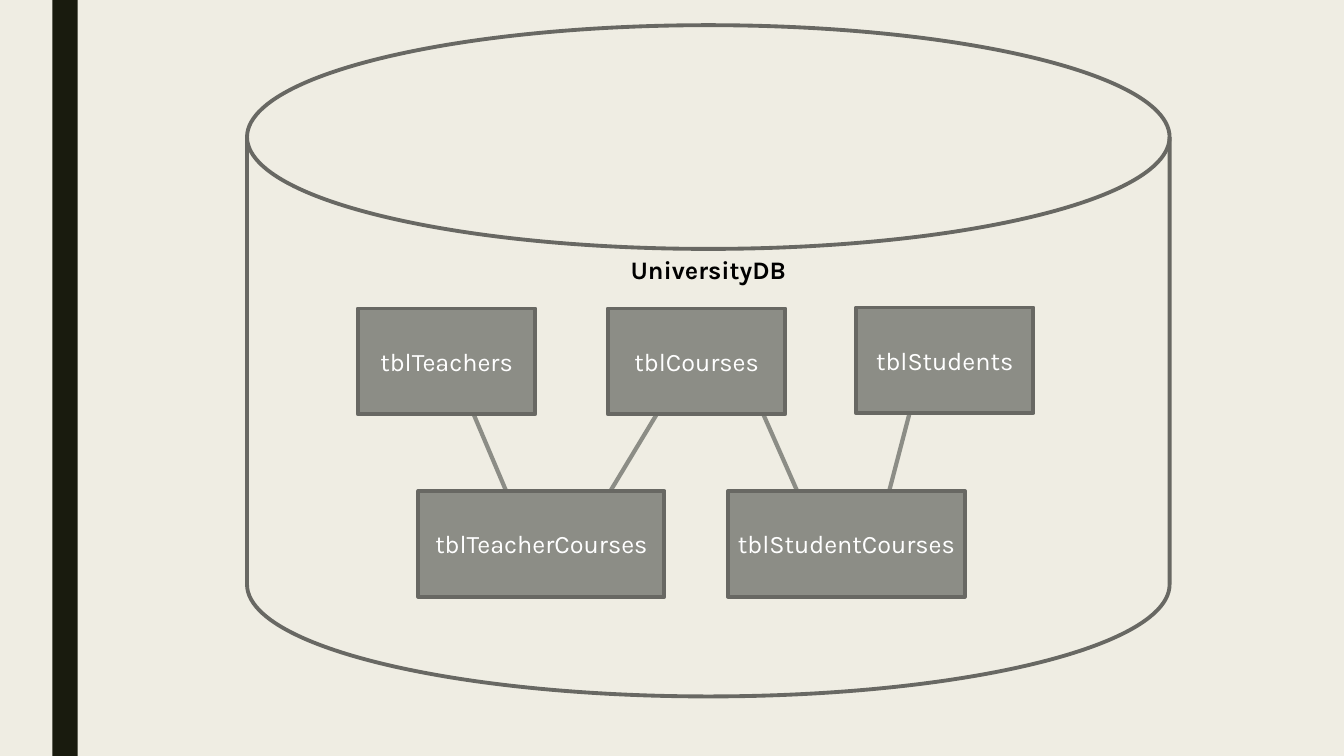
from pptx import Presentation
from pptx.dml.color import RGBColor
from pptx.enum.shapes import MSO_CONNECTOR as Conn, MSO_SHAPE as Kind
from pptx.enum.text import MSO_ANCHOR as Anchor, PP_ALIGN as Align
from pptx.oxml.ns import qn
from pptx.util import Inches, Pt
from lxml.etree import SubElement as Sub


def color(code):
    return RGBColor.from_string(code)


class Canvas:
    font, size = "Karla", 18
    paper, bar = "EFEDE3", "191B0E"
    gray, edge = "8C8D86", "686863"
    white, black = "FFFFFF", "000000"

    def __init__(self, slide):
        self.slide = slide
        back = slide.background.fill
        back.solid()
        back.fore_color.rgb = color(self.paper)

    def shape(self, kind, place, fill=None, line=None):
        item = self.slide.shapes.add_shape(kind, *map(Inches, place))
        item.shadow.inherit = False
        if fill:
            item.fill.solid()
            item.fill.fore_color.rgb = color(fill)
        else:
            item.fill.background()
        if line:
            item.line.color.rgb = color(line)
            item.line.width = Pt(2.75)
        else:
            item.line.fill.background()
        return item

    def label(self, item, text, ink, anchor, bold=False):
        frame = item.text_frame
        frame.text = text
        frame.word_wrap = False
        frame.vertical_anchor = anchor
        para = frame.paragraphs[0]
        para.alignment = Align.CENTER
        font = para.runs[0].font
        font.name, font.size, font.bold = self.font, Pt(self.size), bold
        font.color.rgb = color(ink)

    def disk(self, text, place):
        item = self.shape(Kind.FLOWCHART_MAGNETIC_DISK, place, line=self.edge)
        self.label(item, text, self.black, Anchor.TOP, bold=True)

    def table(self, text, place):
        item = self.shape(Kind.RECTANGLE, place, self.gray, self.edge)
        self.label(item, text, self.white, Anchor.MIDDLE)

    def link(self, start, end):
        ends = map(Inches, (*start, *end))
        item = self.slide.shapes.add_connector(Conn.STRAIGHT, *ends)
        item.line.color.rgb = color(self.gray)
        item.line.width = Pt(3)
        Sub(item._element.spPr, qn("a:effectLst"))


deck = Presentation()
deck.slide_width, deck.slide_height = Inches(13.33), Inches(7.5)
page = Canvas(deck.slides.add_slide(deck.slide_layouts[6]))

# Side bar and database
page.shape(Kind.RECTANGLE, (0.52, 0, 0.25, 7.5), page.bar)
page.disk("UniversityDB", (2.45, 0.25, 9.15, 6.66))

# Links from the main tables down to the joining tables
for top, low in [(4.63, 5.1), (6.61, 5.94), (7.5, 7.99), (9.06, 8.77)]:
    page.link((top, 3.95), (low, 5.06))

# Tables, drawn over the ends of the links
tables = [
    ("tblTeachers", 3.55, 3.06, 1.76),
    ("tblCourses", 6.03, 3.06, 1.76),
    ("tblStudents", 8.49, 3.05, 1.76),
    ("tblTeacherCourses", 4.15, 4.87, 2.44),
    ("tblStudentCourses", 7.22, 4.87, 2.35),
]
for name, left, top, width in tables:
    page.table(name, (left, top, width, 1.05))

deck.save("out.pptx")
